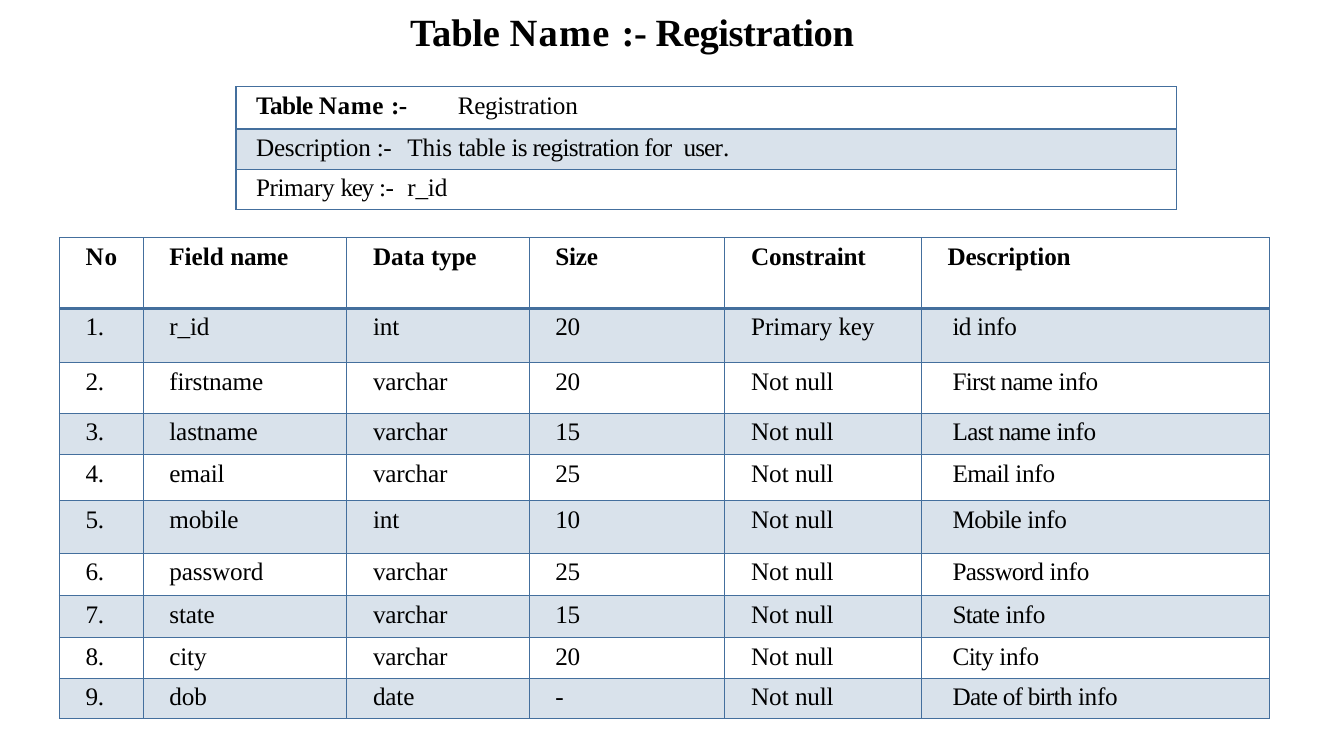
from lxml import etree
from pptx import Presentation
from pptx.dml.color import RGBColor
from pptx.oxml import ns
from pptx.util import Inches, Pt

FONT = "Times New Roman"
COLORS = {"text": "000000", "accent": "446F9D"}
THIN, THICK = 0.96, 2.21

TITLE = [("Table ", -0.1), ("Name ", 0.9), (":- Registration", -0.3)]
SUMMARY = [
    ([("Table ", -0.4), ("Name ", 0.4), (":-\t", -0.3), ("Registration", -0.2)], 2.2, 2.69),
    ([("Description ", -0.2), (":-", -0.3), ("\tThis ", 0), ("table ", -0.3),
      ("is registration for  ", -0.5), ("user", -0.6), (".", -0.1)], 2.3, 2.69),
    ([("Primary ", -0.3), ("key ", -1), (":-\t", -0.3), ("r_id", -0.1)], 2.4, 2.71),
]
SUMMARY_HEIGHTS = [0.42, 0.4, 0.4]

HEADERS = ["No", "Field name", "Data type", "Size", "Constraint", "Description"]
FIELDS = [
    ("r_id", "int", "20", "Primary key", "id info"),
    ("firstname", "varchar", "20", "Not null", "First name info"),
    ("lastname", "varchar", "15", "Not null", "Last name info"),
    ("email", "varchar", "25", "Not null", "Email info"),
    ("mobile", "int", "10", "Not null", "Mobile info"),
    ("password", "varchar", "25", "Not null", "Password info"),
    ("state", "varchar", "15", "Not null", "State info"),
    ("city", "varchar", "20", "Not null", "City info"),
    ("dob", "date", "-", "Not null", "Date of birth info"),
]
FIELD_WIDTHS = [0.83, 2.02, 1.81, 1.94, 1.95, 3.45]
FIELD_HEIGHTS = [0.7, 0.54, 0.5, 0.41, 0.46, 0.52, 0.42, 0.42, 0.4, 0.4]
HEADER_SPACING = [(0, 0.5), (0, -0.2), (0, -0.2), (0, -0.2), (0, -0.1), (0, -0.1)]
BODY_SPACING = [(0, -0.3), (0, -0.1), (0, -0.1), (0, -0.3), (0, -0.2), (-0.55, -0.2)]


def color(name):
    return RGBColor.from_string(COLORS[name])


def add_runs(paragraph, pieces, size, bold_count=0):
    for index, (words, spacing) in enumerate(pieces):
        run = paragraph.add_run()
        run.text = words
        run.font.name = FONT
        run.font.size = Pt(size)
        run.font.bold = index < bold_count
        run.font.color.rgb = color("text")
        run._r.get_or_add_rPr().set("spc", str(round(spacing * 100)))


def split_last_word(words, spacing):
    start, gap, last = words.rpartition(" ")
    pieces = [(start + gap, spacing[0]), (last, spacing[1])]
    return pieces if start else pieces[1:]


def indent(paragraph, inches):
    properties = paragraph._p.get_or_add_pPr()
    properties.set("marL", str(Inches(inches)))
    properties.set("indent", "0")
    return properties


def style_cell(cell, row):
    if row % 2:
        cell.fill.solid()
        cell.fill.fore_color.rgb = color("accent")
        fill_color = cell._tc.tcPr.find(".//" + ns.qn("a:srgbClr"))
        etree.SubElement(fill_color, ns.qn("a:alpha"), val="20000")
    else:
        cell.fill.background()
    widths = {"lnL": THIN, "lnR": THIN,
              "lnT": THICK if row == 1 else THIN,
              "lnB": THICK if row == 0 else THIN}
    for position, (side, width) in enumerate(widths.items()):
        line = etree.Element(ns.qn("a:" + side), w=str(Pt(width)))
        fill = etree.SubElement(line, ns.qn("a:solidFill"))
        etree.SubElement(fill, ns.qn("a:srgbClr"), val=COLORS["accent"])
        cell._tc.tcPr.insert(position, line)


def add_grid(slide, left, top, widths, heights):
    frame = slide.shapes.add_table(
        len(heights), len(widths), Inches(left), Inches(top),
        Inches(sum(widths)), Inches(sum(heights)))
    table = frame.table
    table.first_row = False
    table.horz_banding = False
    for column, width in zip(table.columns, widths):
        column.width = Inches(width)
    for index, (row, height) in enumerate(zip(table.rows, heights)):
        row.height = Inches(height)
        for cell in row.cells:
            style_cell(cell, index)
    return table


def add_title(slide):
    box = slide.shapes.add_textbox(Inches(3.97), Inches(0.03), Inches(6.08), Inches(0.56))
    box.text_frame.word_wrap = True
    add_runs(box.text_frame.paragraphs[0], TITLE, 27.5, len(TITLE))


def add_summary(slide):
    table = add_grid(slide, 2.34, 0.86, [9.33], SUMMARY_HEIGHTS)
    for row, (pieces, space_before, tab) in enumerate(SUMMARY):
        paragraph = table.cell(row, 0).text_frame.paragraphs[0]
        paragraph.space_before = Pt(space_before)
        tabs = etree.SubElement(indent(paragraph, 0.1), ns.qn("a:tabLst"))
        etree.SubElement(tabs, ns.qn("a:tab"), pos=str(Inches(tab)), algn="l")
        add_runs(paragraph, pieces, 18, 3 if row == 0 else 0)


def add_fields(slide):
    table = add_grid(slide, 0.59, 2.36, FIELD_WIDTHS, FIELD_HEIGHTS)
    rows = [HEADERS] + [(f"{number}.", *field) for number, field in enumerate(FIELDS, 1)]
    for row, values in enumerate(rows):
        spacings = BODY_SPACING if row else HEADER_SPACING
        for column, (words, spacing) in enumerate(zip(values, spacings)):
            paragraph = table.cell(row, column).text_frame.paragraphs[0]
            in_description = row > 0 and column == len(HEADERS) - 1
            indent(paragraph, 0.21 if in_description else 0.16)
            pieces = split_last_word(words, spacing)
            add_runs(paragraph, pieces, 18, 0 if row else len(pieces))


def main():
    presentation = Presentation()
    presentation.slide_width = Inches(13.33)
    presentation.slide_height = Inches(7.5)
    slide = presentation.slides.add_slide(presentation.slide_layouts[6])
    add_title(slide)
    add_summary(slide)
    add_fields(slide)
    presentation.save("out.pptx")


if __name__ == "__main__":
    main()
